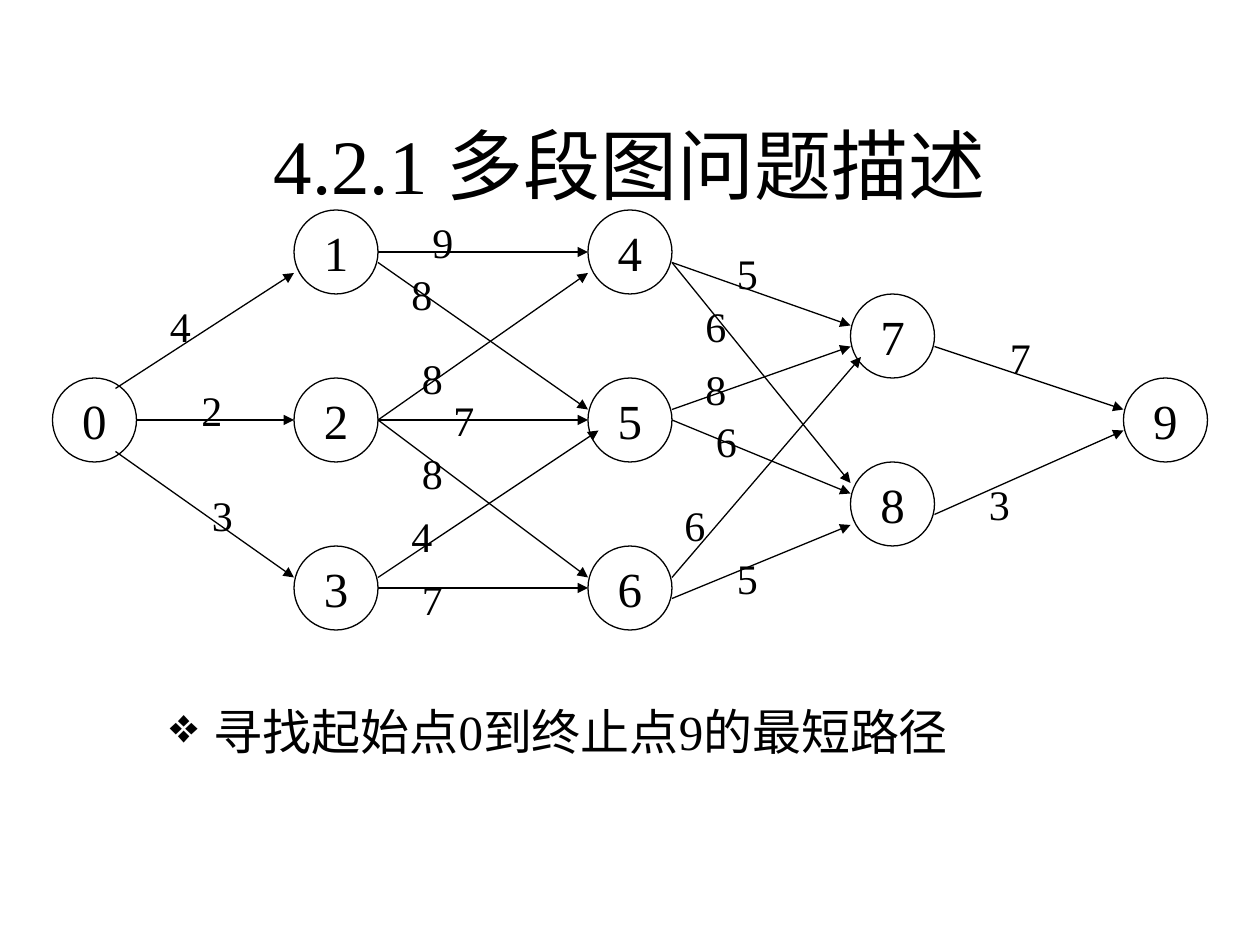
from typing import NamedTuple

from lxml import etree
from pptx import Presentation
from pptx import util as u
from pptx.dml import color
from pptx.enum import shapes, text
from pptx.oxml import ns

COLORS = {"ink": "000000", "paper": "FFFFFF"}
FONT = "Times New Roman"
CELLS_PER_INCH = 12  # the graph sits on a grid of twelfths of an inch
NODE_CELLS = 8


class Node(NamedTuple):
    name: str
    left: int
    top: int


class Edge(NamedTuple):
    start: tuple[int, int]
    end: tuple[int, int]
    weight: str
    label_at: tuple[int, int]


# Stages of the graph: left cell, then the top cell of each node
STAGES = [(5, [36]), (28, [20, 36, 52]), (56, [20, 36, 52]), (81, [28, 44]), (107, [36])]
PLACES = [(left, top) for left, tops in STAGES for top in tops]
NODES = [Node(str(number), *place) for number, place in enumerate(PLACES)]

EDGES = [
    # First stage to second
    Edge((11, 37), (28, 26), "4", (15, 28)),
    Edge((13, 40), (28, 40), "2", (18, 36)),
    Edge((11, 43), (28, 55), "3", (19, 46)),
    # Second stage to third
    Edge((36, 24), (56, 24), "9", (40, 20)),
    Edge((36, 25), (56, 39), "8", (38, 25)),
    Edge((36, 40), (56, 26), "8", (39, 33)),
    Edge((36, 40), (56, 40), "7", (42, 37)),
    Edge((36, 40), (56, 55), "8", (39, 42)),
    Edge((36, 55), (57, 41), "4", (38, 48)),
    Edge((36, 56), (56, 56), "7", (39, 54)),
    # Third stage to fourth
    Edge((64, 25), (81, 31), "5", (69, 23)),
    Edge((64, 25), (81, 46), "6", (66, 28)),
    Edge((64, 39), (81, 33), "8", (66, 34)),
    Edge((64, 40), (81, 47), "6", (67, 39)),
    Edge((64, 55), (82, 34), "6", (64, 47)),
    Edge((64, 57), (81, 50), "5", (69, 52)),
    # Fourth stage to last
    Edge((89, 33), (107, 39), "7", (95, 31)),
    Edge((89, 49), (107, 41), "3", (93, 45)),
]


def cells(count: float) -> u.Length:
    return u.Inches(count / CELLS_PER_INCH)


def rgb(name: str) -> color.RGBColor:
    return color.RGBColor.from_string(COLORS[name])


def write_text(shape, words: str, *, size: float, align=text.PP_ALIGN.LEFT,
               anchor=text.MSO_ANCHOR.TOP, wrap: bool = True,
               bullet: str = "", indent: float = 0) -> None:
    frame = shape.text_frame
    frame.word_wrap = wrap
    frame.vertical_anchor = anchor
    paragraph = frame.paragraphs[0]
    paragraph.text = words
    paragraph.alignment = align
    if bullet:
        properties = paragraph._p.get_or_add_pPr()
        properties.set("marL", str(u.Inches(indent)))
        properties.set("indent", str(-u.Inches(indent)))
        etree.SubElement(properties, ns.qn("a:buChar")).set("char", bullet)
    font = paragraph.runs[0].font
    font.name, font.size = FONT, u.Pt(size)
    font.color.rgb = rgb("ink")


def draw_node(slide, node: Node) -> None:
    shape = slide.shapes.add_shape(
        shapes.MSO_SHAPE.OVAL, cells(node.left), cells(node.top),
        cells(NODE_CELLS), cells(NODE_CELLS))
    shape.shadow.inherit = False
    shape.fill.solid()
    shape.fill.fore_color.rgb = rgb("paper")
    shape.line.color.rgb = rgb("ink")
    shape.line.width = u.Pt(0.75)
    write_text(shape, node.name, size=28, align=text.PP_ALIGN.CENTER,
               anchor=text.MSO_ANCHOR.MIDDLE, wrap=False)


def draw_arrow(slide, edge: Edge) -> None:
    ends = [cells(value) for value in (*edge.start, *edge.end)]
    connector = slide.shapes.add_connector(shapes.MSO_CONNECTOR.STRAIGHT, *ends)
    connector.line.color.rgb = rgb("ink")
    connector.line.width = u.Pt(0.75)
    outline = connector.line._get_or_add_ln()
    etree.SubElement(outline, ns.qn("a:tailEnd")).set("type", "triangle")
    etree.SubElement(connector._element.spPr, ns.qn("a:effectLst"))


def draw_weight(slide, edge: Edge) -> None:
    left, top = edge.label_at
    box = slide.shapes.add_textbox(cells(left), cells(top), cells(5), cells(6))
    write_text(box, edge.weight, size=24)


def main() -> None:
    presentation = Presentation()
    presentation.slide_width, presentation.slide_height = u.Inches(10), u.Inches(7.5)
    slide = presentation.slides.add_slide(presentation.slide_layouts[6])

    # Title
    title = slide.shapes.add_textbox(
        u.Inches(0.75), u.Inches(0.67), u.Inches(8.5), u.Inches(1.25))
    write_text(title, "4.2.1 多段图问题描述", size=44, align=text.PP_ALIGN.CENTER,
               anchor=text.MSO_ANCHOR.MIDDLE)

    # Multistage graph, from back to front
    for node in NODES:
        draw_node(slide, node)
    for edge in EDGES:
        draw_arrow(slide, edge)
    for edge in EDGES:
        draw_weight(slide, edge)

    # Task
    task = slide.shapes.add_textbox(
        u.Inches(1.25), u.Inches(5.52), u.Inches(7.67), u.Inches(0.57))
    write_text(task, "寻找起始点0到终止点9的最短路径", size=28, bullet="❖", indent=0.35)

    presentation.save("out.pptx")


if __name__ == "__main__":
    main()
